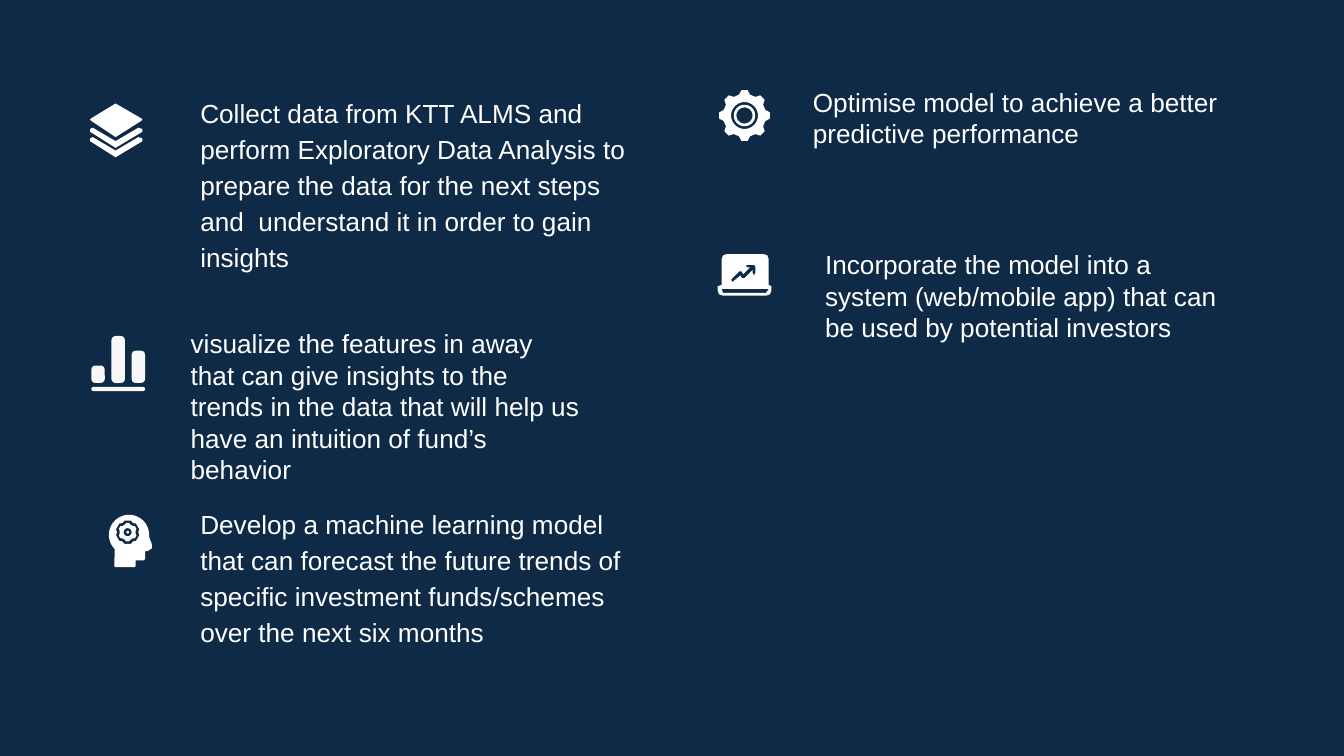
import math
from dataclasses import dataclass

import pptx
import pptx.dml.color
import pptx.enum.shapes
import pptx.enum.text
import pptx.util
from lxml import etree

Inches = pptx.util.Inches


@dataclass(frozen=True)
class Theme:
    """Colours and type for a slide of project objectives with icons."""

    background: str = "0E2A47"
    text: str = "FFFFFF"
    icon: str = "FFFFFF"
    bars: str = "F8F8F8"
    font: str = "Arial"
    body_size: int = 14


THEME = Theme()


def paint(fill, color):
    fill.solid()
    fill.fore_color.rgb = pptx.dml.color.RGBColor.from_string(color)


def place(shape, left, top, width, height):
    shape.left, shape.top = Inches(left), Inches(top)
    shape.width, shape.height = Inches(width), Inches(height)


def write_text(shape, text, *, size=THEME.body_size, color=THEME.text,
               line_spacing=1.0, vertical_inset=0.05):
    frame = shape.text_frame
    frame.word_wrap = True
    frame.auto_size = pptx.enum.text.MSO_AUTO_SIZE.NONE
    frame.vertical_anchor = pptx.enum.text.MSO_ANCHOR.TOP
    frame.margin_left = frame.margin_right = Inches(0.1)
    frame.margin_top = frame.margin_bottom = Inches(vertical_inset)
    frame.text = text
    paragraph = frame.paragraphs[0]
    paragraph.alignment = pptx.enum.text.PP_ALIGN.LEFT
    paragraph.line_spacing = line_spacing
    paragraph.space_before = pptx.util.Pt(0)
    paragraph.font.size = pptx.util.Pt(size)
    paragraph.font.name = THEME.font
    paragraph.font.color.rgb = pptx.dml.color.RGBColor.from_string(color)
    return paragraph


def fill_placeholder(placeholder, box, text):
    place(placeholder, *box)
    paragraph = write_text(placeholder, text, line_spacing=1.15, vertical_inset=0.1)
    properties = paragraph._p.get_or_add_pPr()
    properties.set("marL", "0")
    properties.set("indent", "0")
    no_bullet = etree.Element(pptx.oxml.ns.qn("a:buNone"))
    properties.insert_element_before(no_bullet, "a:tabLst", "a:defRPr", "a:extLst")


def add_text(slide, box, text):
    shape = slide.shapes.add_textbox(*map(Inches, box))
    write_text(shape, text)


def finish_icon_part(shape, color):
    shape.shadow.inherit = False
    paint(shape.fill, color)
    shape.line.fill.background()


def add_outline(slide, *contours, color=THEME.icon):
    contours = [[(Inches(x), Inches(y)) for x, y in contour] for contour in contours]
    builder = slide.shapes.build_freeform(*contours[0][0])
    for number, contour in enumerate(contours):
        if number:
            builder.move_to(*contour[0])
        builder.add_line_segments(contour[1:], close=True)
    finish_icon_part(builder.convert_to_shape(), color)


def add_rounded_bar(slide, box, rounding, color):
    kind = pptx.enum.shapes.MSO_SHAPE.ROUNDED_RECTANGLE
    shape = slide.shapes.add_shape(kind, *map(Inches, box))
    shape.adjustments[0] = rounding
    finish_icon_part(shape, color)


def polar(center, radius, degrees):
    angle = math.radians(degrees)
    return center[0] + radius * math.cos(angle), center[1] + radius * math.sin(angle)


def arc(center, radius, start=0, end=350, step=10):
    return [polar(center, radius, degrees) for degrees in range(start, end + 1, step)]


def gear(center, teeth, base, tip):
    """Trace a gear whose base and tip are (radius, half angle) pairs."""
    (base_radius, base_half), (tip_radius, tip_half) = base, tip
    corners = [(base_radius, -base_half), (tip_radius, -tip_half),
               (tip_radius, tip_half), (base_radius, base_half)]
    return [polar(center, radius, tooth * 360 / teeth - 90 + offset)
            for tooth in range(teeth) for radius, offset in corners]


def draw_layers(slide):
    left, middle, right = 0.67, 0.86, 1.06
    add_outline(slide, [(middle, 0.77), (right - 0.01, 0.88), (right, 0.89),
                        (right - 0.01, 0.9), (middle, 1.02), (left + 0.01, 0.9),
                        (left, 0.89), (left + 0.01, 0.88)])
    for top in (1.02, 0.95):
        add_outline(slide, [(left + 0.02, top), (left, top + 0.01), (left, top + 0.03),
                            (middle, top + 0.15), (right, top + 0.03),
                            (right, top + 0.01), (right - 0.03, top),
                            (middle, top + 0.1)])


def draw_bar_chart(slide):
    bottom, width = 2.85, 0.1
    for column, height in enumerate((0.13, 0.35, 0.24)):
        box = (0.68 + 0.15 * column, bottom - height, width, height)
        add_rounded_bar(slide, box, 0.3, THEME.bars)
    add_rounded_bar(slide, (0.68, 2.88, 0.4, 0.03), 0.5, THEME.bars)


def draw_thinking_head(slide):
    center = (0.95, 3.96)
    face = [(1.13, 4.05), (1.13, 4.08), (1.1, 4.1), (1.08, 4.1), (1.08, 4.16),
            (1.07, 4.17), (1.01, 4.17), (1.01, 4.21), (1, 4.22), (0.86, 4.22),
            (0.85, 4.21)]
    skull = arc((0.96, 3.98), 0.15, 135, 365)
    add_outline(slide, skull + face, gear(center, 6, (0.08, 28), (0.09, 16)))
    add_outline(slide, gear(center, 6, (0.06, 20), (0.07, 9)), arc(center, 0.03))
    add_outline(slide, arc(center, 0.01))


def draw_cog(slide):
    center = (5.54, 0.86)
    add_outline(slide, gear(center, 8, (0.16, 15), (0.19, 7)), arc(center, 0.1))
    add_outline(slide, arc(center, 0.08), arc(center, 0.06))


def draw_laptop(slide):
    body = [(5.41, 1.89), (5.68, 1.89), (5.71, 1.9), (5.72, 1.93), (5.72, 2.12),
            (5.74, 2.13), (5.74, 2.16), (5.73, 2.19), (5.7, 2.2), (5.38, 2.2),
            (5.35, 2.19), (5.34, 2.16), (5.34, 2.13), (5.37, 2.12), (5.37, 1.93),
            (5.38, 1.9)]
    trend = [(5.56, 1.97), (5.61, 1.97), (5.62, 1.98), (5.62, 2.03), (5.61, 2.05),
             (5.6, 2.03), (5.6, 2.01), (5.54, 2.07), (5.52, 2.07), (5.51, 2.05),
             (5.46, 2.09), (5.45, 2.1), (5.44, 2.08), (5.5, 2.02), (5.52, 2.02),
             (5.53, 2.04), (5.58, 1.99), (5.56, 1.99), (5.55, 1.98)]
    keyboard = [(5.37, 2.15), (5.72, 2.15), (5.7, 2.18), (5.38, 2.18)]
    add_outline(slide, body, trend, keyboard)


def main():
    presentation = pptx.Presentation()
    presentation.slide_width = Inches(10)
    presentation.slide_height = presentation.slide_width * 9 // 16
    slide = presentation.slides.add_slide(presentation.slide_layouts.get_by_name("Two Content"))
    paint(slide.background.fill, THEME.background)
    title, collect, develop = slide.placeholders
    title.element.getparent().remove(title.element)

    fill_placeholder(collect, (1.39, 0.59, 3.44, 1.71),
                     "Collect data from KTT ALMS and perform Exploratory Data Analysis to "
                     "prepare the data for the next steps and  understand it in order to "
                     "gain insights")
    fill_placeholder(develop, (1.39, 3.65, 3.36, 1.39),
                     "Develop a machine learning model that can forecast the future trends "
                     "of specific investment funds/schemes over the next six months")
    add_text(slide, (1.32, 2.39, 3.12, 1.28),
             "visualize the features in away that can give insights to the trends in the "
             "data that will help us have an intuition of fund’s behavior")
    add_text(slide, (5.95, 0.59, 3.86, 0.57),
             "Optimise model to achieve a better predictive performance")
    add_text(slide, (6.04, 1.8, 3.28, 0.81),
             "Incorporate the model into a system (web/mobile app) that can be used by "
             "potential investors")

    for draw_icon in (draw_layers, draw_bar_chart, draw_thinking_head, draw_cog, draw_laptop):
        draw_icon(slide)
    presentation.save("out.pptx")


if __name__ == "__main__":
    main()
